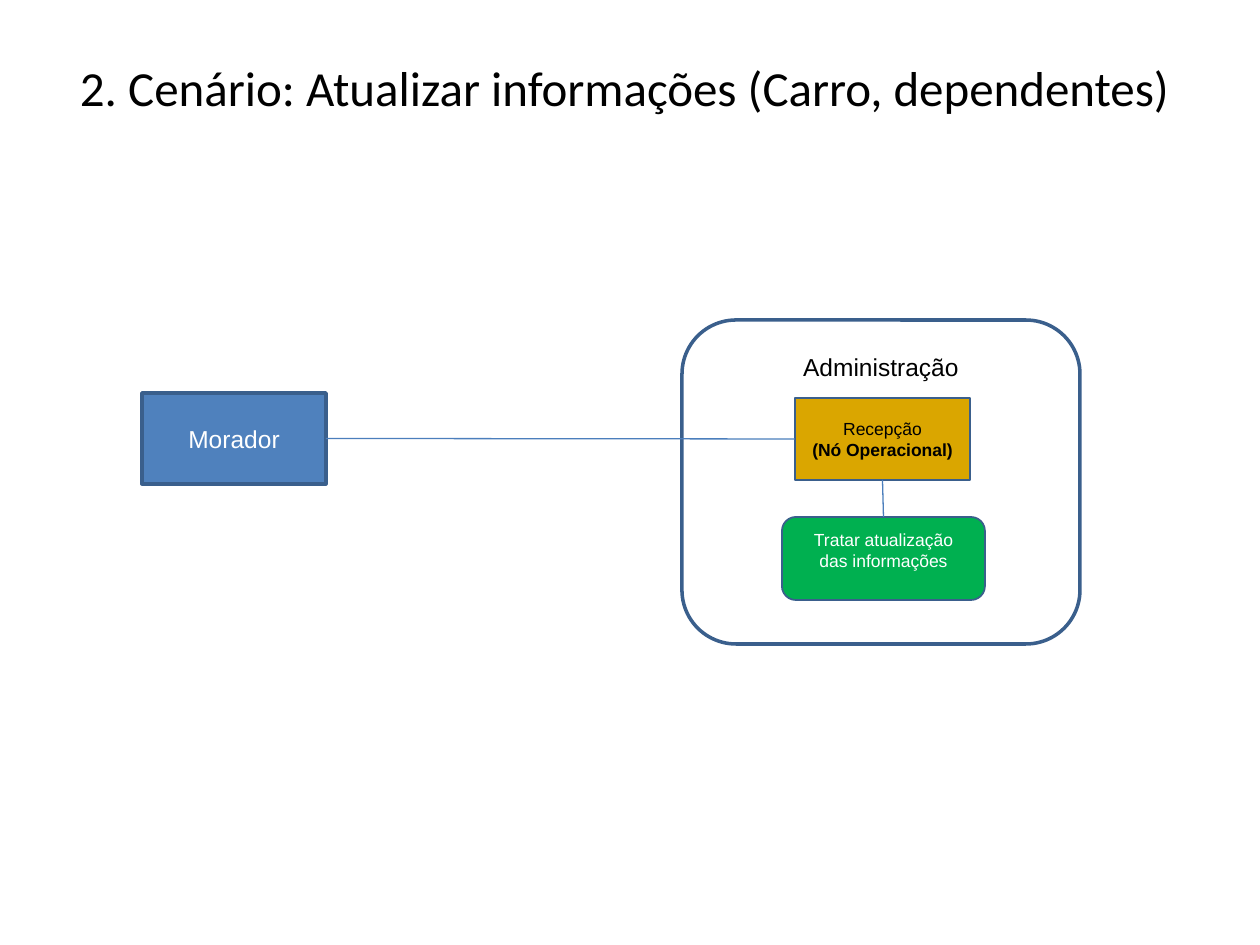
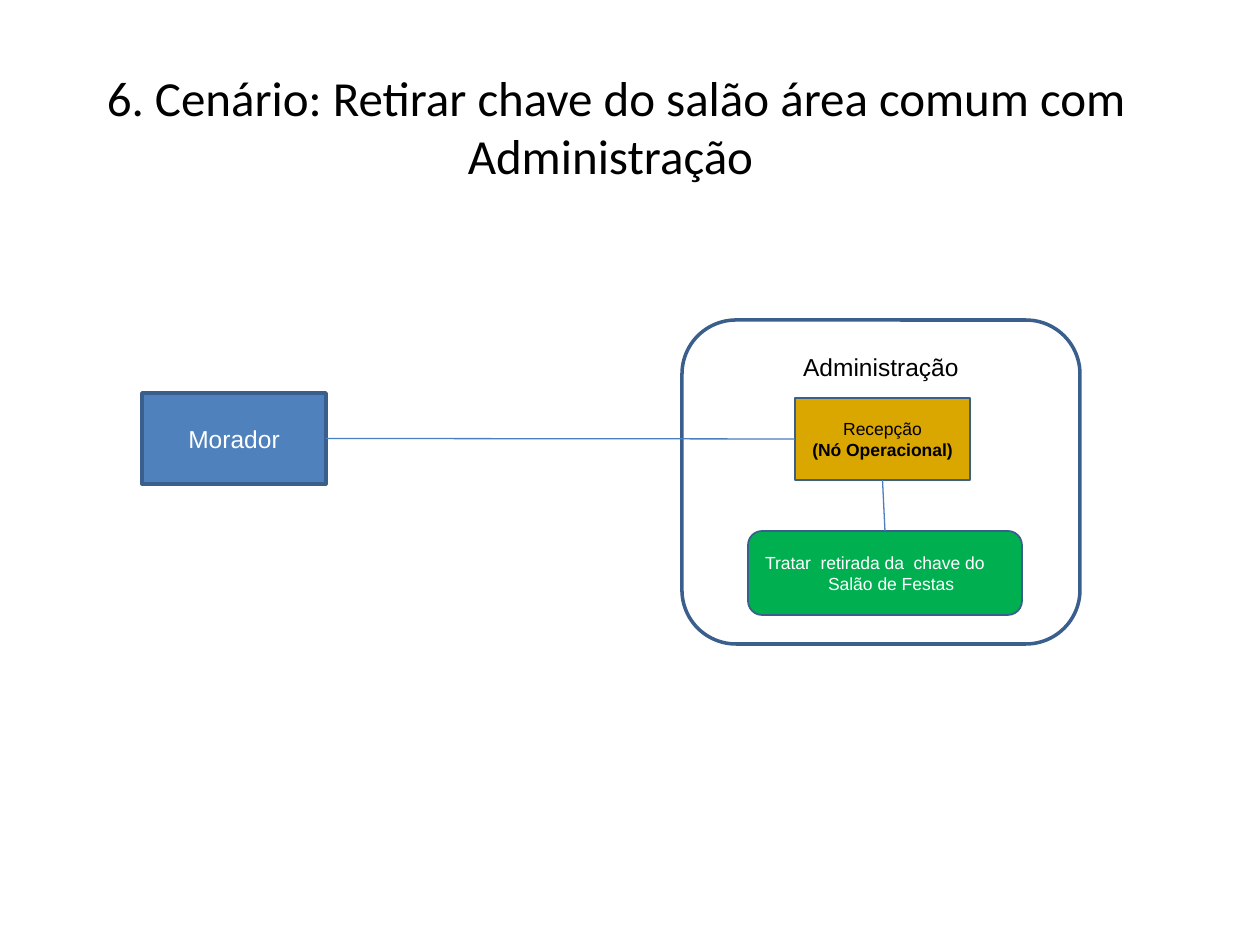
from dataclasses import dataclass

from lxml import etree
from pptx import Presentation
from pptx.dml.color import RGBColor
from pptx.enum.shapes import MSO_CONNECTOR, MSO_SHAPE
from pptx.enum.text import MSO_ANCHOR, PP_ALIGN
from pptx.oxml.ns import qn
from pptx.shapes.autoshape import Shape
from pptx.slide import Slide
from pptx.text.text import TextFrame
from pptx.util import Emu, Pt

RECT, ROUNDED = MSO_SHAPE.RECTANGLE, MSO_SHAPE.ROUNDED_RECTANGLE
STRAIGHT = MSO_CONNECTOR.STRAIGHT
TOP, MIDDLE = MSO_ANCHOR.TOP, MSO_ANCHOR.MIDDLE
LEFT, CENTER = PP_ALIGN.LEFT, PP_ALIGN.CENTER

BLACK = RGBColor(0x00, 0x00, 0x00)
WHITE = RGBColor(0xFF, 0xFF, 0xFF)
BLUE = RGBColor(0x4F, 0x81, 0xBD)
GOLD = RGBColor(0xDA, 0xA6, 0x00)
GREEN = RGBColor(0x00, 0xB0, 0x50)
OUTLINE = RGBColor(0x3A, 0x5F, 0x8C)
LINK = RGBColor(0x4B, 0x7E, 0xBC)

TITLE_FONT, BODY_FONT = "Calibri", "Arial"
BLANK_LAYOUT = 6
SITE_TOP, SITE_LEFT, SITE_BOTTOM, SITE_RIGHT = range(4)
PX_PER_INCH = 126
SIDE_INSET, EDGE_INSET = 13, 6
TITLE_TOP_INSET = 19


def px(length: int) -> Emu:
    return Emu(round(length * 914400 / PX_PER_INCH))


@dataclass(frozen=True)
class Area:
    left: int
    top: int
    width: int
    height: int

    def emu(self) -> list[Emu]:
        return [px(n) for n in (self.left, self.top, self.width, self.height)]


@dataclass(frozen=True)
class Line:
    text: str
    bold: bool = False
    indent: int = 0


@dataclass(frozen=True)
class Node:
    area: Area
    lines: tuple[Line, ...]
    fill: RGBColor | None
    color: RGBColor = WHITE
    geometry: MSO_SHAPE = RECT
    size: int = 10
    border: int = 1
    align: PP_ALIGN = CENTER
    anchor: MSO_ANCHOR = MIDDLE
    top_inset: int = EDGE_INSET
    bottom_inset: int = EDGE_INSET


@dataclass(frozen=True)
class Scenario:
    title: str
    title_area: Area
    task: Node


RESIDENT = Node(Area(142, 393, 184, 91), (Line("Morador"),), BLUE, size=14, border=2)
ADMINISTRATION = Node(
    Area(682, 320, 398, 324), (Line("Administração"),), None, BLACK, ROUNDED,
    size=14, border=2, anchor=TOP, top_inset=16,
)
RECEPTION = Node(
    Area(795, 398, 175, 82),
    (Line("Recepção"), Line("(Nó Operacional)", bold=True)), GOLD, BLACK,
)

SCENARIOS = (
    Scenario(
        "2. Cenário: Atualizar informações (Carro, dependentes) ",
        Area(63, 38, 1134, 158),
        Node(
            Area(782, 517, 203, 83), (Line("Tratar atualização das informações"),),
            GREEN, geometry=ROUNDED, bottom_inset=22,
        ),
    ),
    Scenario(
        "6. Cenário: Retirar chave do salão área comum com Administração ",
        Area(49, 48, 1134, 158),
        Node(
            Area(748, 531, 274, 84),
            (Line("Tratar  retirada da  chave do"), Line("Salão de Festas", indent=63)),
            GREEN, geometry=ROUNDED, align=LEFT,
        ),
    ),
)


def set_frame(frame: TextFrame, anchor: MSO_ANCHOR, top: int, bottom: int) -> None:
    frame.word_wrap = True
    frame.vertical_anchor = anchor
    frame.margin_left = frame.margin_right = px(SIDE_INSET)
    frame.margin_top, frame.margin_bottom = px(top), px(bottom)


def write_lines(frame: TextFrame, lines: tuple[Line, ...], font: str, size: int,
                color: RGBColor, align: PP_ALIGN) -> None:
    for index, line in enumerate(lines):
        paragraph = frame.add_paragraph() if index else frame.paragraphs[0]
        paragraph.alignment = align
        if line.indent:
            paragraph._p.get_or_add_pPr().set("marL", str(px(line.indent)))
        run = paragraph.add_run()
        run.text = line.text
        run.font.name = font
        run.font.size = Pt(size)
        run.font.bold = line.bold
        run.font.color.rgb = color


def draw_title(slide: Slide, scenario: Scenario) -> None:
    frame = slide.shapes.add_textbox(*scenario.title_area.emu()).text_frame
    set_frame(frame, TOP, TITLE_TOP_INSET, EDGE_INSET)
    write_lines(frame, (Line(scenario.title),), TITLE_FONT, 28, BLACK, CENTER)


def draw_node(slide: Slide, node: Node) -> Shape:
    shape = slide.shapes.add_shape(node.geometry, *node.area.emu())
    shape.shadow.inherit = False
    if node.fill is None:
        shape.fill.background()
    else:
        shape.fill.solid()
        shape.fill.fore_color.rgb = node.fill
    shape.line.color.rgb = OUTLINE
    shape.line.width = Pt(node.border)
    set_frame(shape.text_frame, node.anchor, node.top_inset, node.bottom_inset)
    write_lines(shape.text_frame, node.lines, BODY_FONT, node.size, node.color, node.align)
    return shape


def link(slide: Slide, start: Shape, start_site: int, end: Shape, end_site: int) -> None:
    """Join two nodes with a thin line glued to their connection sites."""
    connector = slide.shapes.add_connector(STRAIGHT, 0, 0, 0, 0)
    connector.begin_connect(start, start_site)
    connector.end_connect(end, end_site)
    connector.line.color.rgb = LINK
    connector.line.width = Pt(0.75)
    etree.SubElement(connector._element.spPr, qn("a:effectLst"))


def draw_scenario(slide: Slide, scenario: Scenario) -> None:
    draw_title(slide, scenario)
    resident = draw_node(slide, RESIDENT)
    draw_node(slide, ADMINISTRATION)
    reception = draw_node(slide, RECEPTION)
    link(slide, resident, SITE_RIGHT, reception, SITE_LEFT)
    task = draw_node(slide, scenario.task)
    link(slide, reception, SITE_BOTTOM, task, SITE_TOP)


def main() -> None:
    deck = Presentation()
    deck.slide_width, deck.slide_height = px(1260), px(945)
    for scenario in SCENARIOS:
        draw_scenario(deck.slides.add_slide(deck.slide_layouts[BLANK_LAYOUT]), scenario)
    deck.save("out.pptx")


if __name__ == "__main__":
    main()
